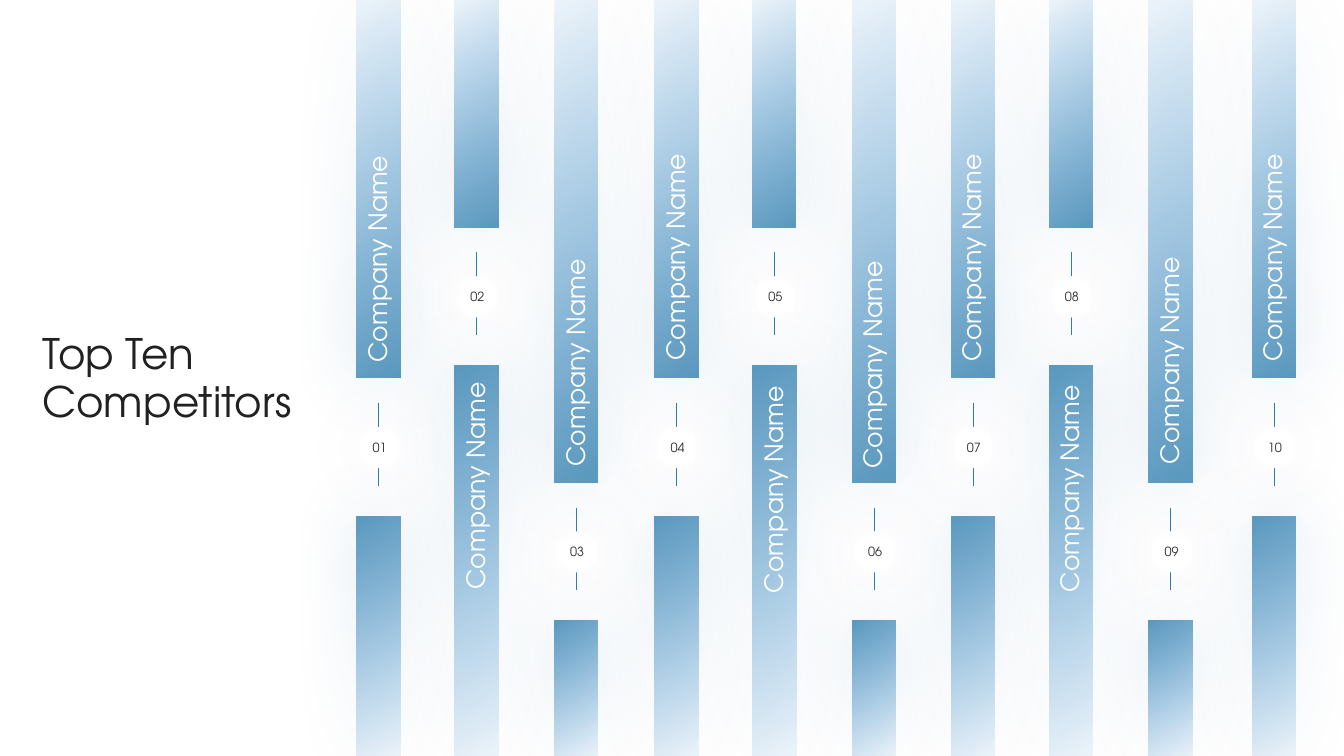
from lxml import etree
from pptx import Presentation
from pptx.dml.color import RGBColor
from pptx.enum.shapes import MSO_CONNECTOR as CONN, MSO_SHAPE as SHAPE
from pptx.enum.text import MSO_ANCHOR as ANCHOR, MSO_AUTO_SIZE as AUTO, PP_ALIGN as ALIGN
from pptx.oxml import parse_xml
from pptx.oxml.ns import nsdecls, qn
from pptx.util import Emu, Pt

PX = 9144  # 100 px to the inch
FONT = "TeX Gyre Adventor"
BLUE, BRIGHT, WHITE = "2E7DAE", "2D85CB", "FFFFFF"
INK, GREY = "212121", "2D2D2D"

# Gap between the bars of a column: it starts at one of three levels
HIGH, MIDDLE, LOW = 451, 750, 957
GAP, BAR_W, CIRCLE = 275, 86, 82
NAME_W, NAME_H = 434, 71
SLIDE_W, SLIDE_H = 2666, 1500

# Bar left, gap top, name top
COLUMNS = [
    (708, MIDDLE, 477), (902, HIGH, 927), (1100, LOW, 683), (1299, MIDDLE, 473),
    (1493, HIGH, 934), (1691, LOW, 687), (1887, MIDDLE, 474), (2081, HIGH, 932),
    (2279, LOW, 678), (2484, MIDDLE, 474),
]


def px(*lengths):
    return [Emu(n * PX) for n in lengths]


def rgb(value):
    return RGBColor.from_string(value)


def write(tf, text, size=18, color=INK, align=None, spacing=None):
    for i, line in enumerate(text.split("\n")):
        p = tf.paragraphs[0] if i == 0 else tf.add_paragraph()
        p.alignment, p.line_spacing = align, spacing
        r = p.add_run()
        r.text = line
        r.font.name, r.font.size = FONT, Pt(size)
        r.font.color.rgb = rgb(color)


def glow(s, alpha):
    """Soft shadow without offset, 100 pt wide."""
    s.shadow.inherit = False
    s._element.spPr.find(qn("a:effectLst")).append(parse_xml(
        f'<a:outerShdw {nsdecls("a")} blurRad="{Pt(100)}" dist="0" dir="0" algn="ctr" '
        f'rotWithShape="0"><a:srgbClr val="{BLUE}"><a:alpha val="{alpha * 1000}"/>'
        '</a:srgbClr></a:outerShdw>'))


class Board:
    def __init__(self, prs):
        self.slide = prs.slides.add_slide(prs.slide_layouts[6])
        self.shapes = self.slide.shapes

    def group(self):
        self.shapes = self.slide.shapes.add_group_shape().shapes

    def ungroup(self):
        self.shapes = self.slide.shapes

    def line(self, x, top, bottom):
        s = self.shapes.add_connector(CONN.STRAIGHT, *px(x, top, x, bottom))
        s.line.color.rgb, s.line.width = rgb(BLUE), Pt(0.5)
        etree.SubElement(s._element.spPr, qn("a:effectLst"))

    def circle(self, x, y, text):
        s = self.shapes.add_shape(SHAPE.OVAL, *px(x, y, CIRCLE, CIRCLE))
        s.fill.solid()
        s.fill.fore_color.rgb = rgb(WHITE)
        s.line.fill.background()
        glow(s, 5)
        s.text_frame.vertical_anchor = ANCHOR.MIDDLE
        write(s.text_frame, text, color=GREY, align=ALIGN.CENTER)

    def bar(self, x, y, h, rotation=0):
        s = self.shapes.add_shape(SHAPE.RECTANGLE, *px(x, y, BAR_W, h))
        s.rotation = rotation
        s.line.fill.background()
        stops = "".join(
            f'<a:gs pos="{pos}"><a:srgbClr val="{color}"><a:alpha val="{alpha}"/>'
            '</a:srgbClr></a:gs>'
            for pos, color, alpha in ((0, BRIGHT, 8000), (100000, BLUE, 78000)))
        s._element.spPr.find(qn("a:prstGeom")).addnext(parse_xml(
            f'<a:gradFill {nsdecls("a")} rotWithShape="1"><a:gsLst>{stops}</a:gsLst>'
            '<a:lin ang="3600000" scaled="0"/></a:gradFill>'))
        glow(s, 23)

    def text(self, x, y, w, h, text, wrap=True, rotation=0, **style):
        s = self.shapes.add_textbox(*px(x, y, w, h))
        s.rotation = rotation
        tf = s.text_frame
        tf.word_wrap, tf.auto_size = wrap, AUTO.SHAPE_TO_FIT_TEXT
        write(tf, text, **style)


def main():
    prs = Presentation()
    prs.slide_width, prs.slide_height = px(SLIDE_W, SLIDE_H)
    board = Board(prs)

    # Numbers in the gaps
    for number, (x, gap, _) in enumerate(COLUMNS, 1):
        board.group()
        board.line(x + BAR_W // 2, gap + 50, gap + 214)
        board.circle(x + 4, gap + 97, f"{number:02}")

    # Title
    board.ungroup()
    board.text(74, 653, 546, 203, "Top Ten\nCompetitors", size=60, spacing=0.95)

    # Bars above and below each gap, with the name
    for x, gap, name_top in COLUMNS:
        below = gap + GAP
        board.group()
        board.bar(x, 0, gap)
        board.bar(x, below, SLIDE_H - below, rotation=180)
        board.text(x + 41 - NAME_W // 2, name_top, NAME_W, NAME_H, "Company Name",
                   wrap=False, rotation=270, size=36, color=WHITE)

    prs.save("out.pptx")


if __name__ == "__main__":
    main()
